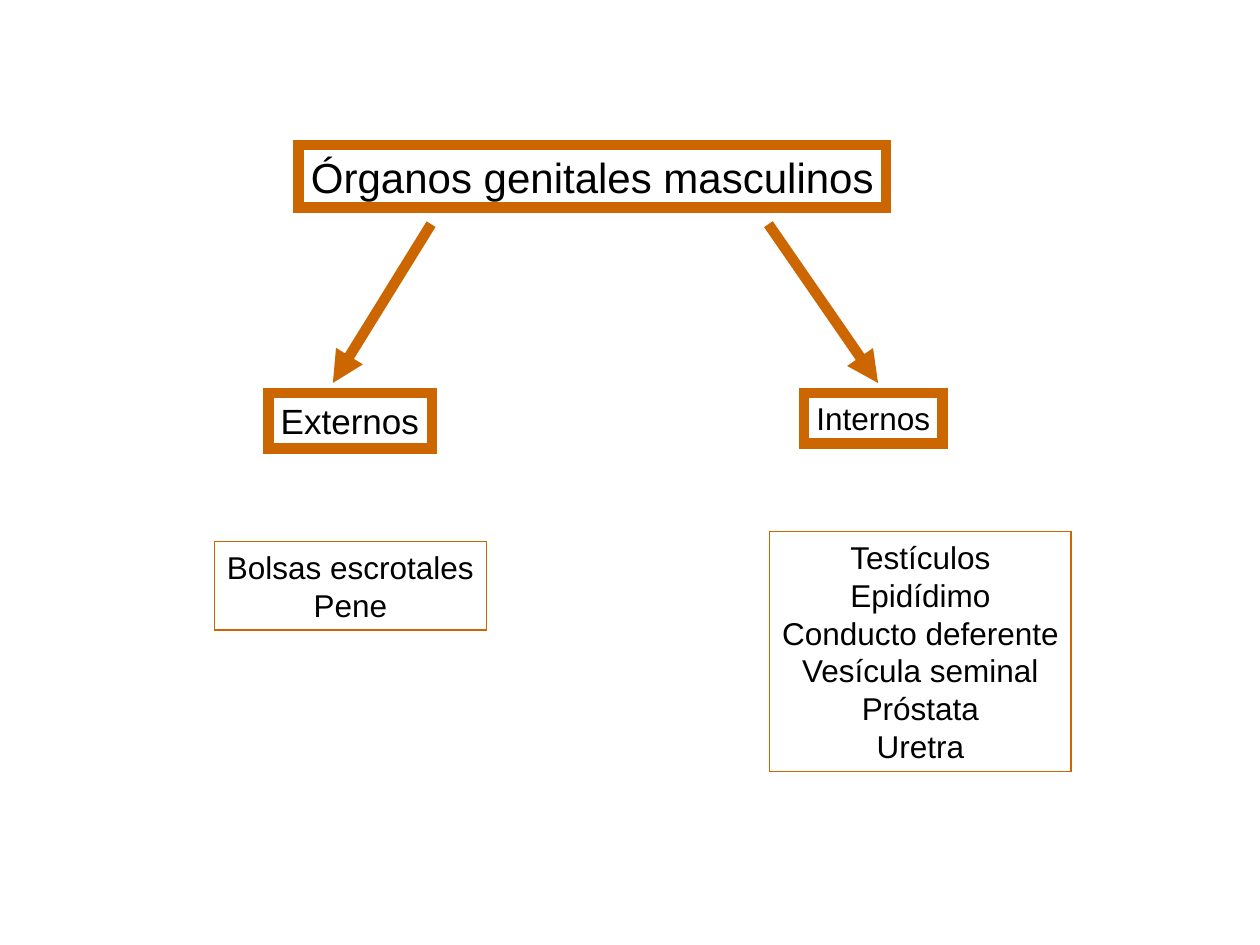
import pptx
import pptx.util
import pptx.dml.color
import pptx.enum.shapes
import pptx.enum.text
import lxml.etree
from pptx.oxml.ns import qn

Cm = pptx.util.Cm
Pt = pptx.util.Pt
COLORS = {
    name: pptx.dml.color.RGBColor.from_string(value)
    for name, value in {"border": "CC6600", "text": "000000"}.items()
}
LEFT = pptx.enum.text.PP_ALIGN.LEFT
CENTER = pptx.enum.text.PP_ALIGN.CENTER

presentation = pptx.Presentation()
presentation.slide_width = Cm(25.4)
presentation.slide_height = Cm(19.05)
slide = presentation.slides.add_slide(presentation.slide_layouts[6])


def style_line(shape, width):
    shape.line.color.rgb = COLORS["border"]
    shape.line.width = Pt(width)
    return shape.line._get_or_add_ln()


def add_box(left, top, width, height, border, size, alignment, lines):
    shape = slide.shapes.add_textbox(Cm(left), Cm(top), Cm(width), Cm(height))
    line = style_line(shape, border)
    lxml.etree.SubElement(line, qn("a:miter"), lim="800000")
    frame = shape.text_frame
    frame.word_wrap = False
    frame.auto_size = pptx.enum.text.MSO_AUTO_SIZE.NONE
    frame.margin_left = Cm(0.25 if alignment == LEFT else 0.15)
    frame.margin_right = Cm(0.15)
    for index, text in enumerate(lines):
        paragraph = frame.add_paragraph() if index else frame.paragraphs[0]
        paragraph.alignment = alignment
        run = paragraph.add_run()
        run.text = text
        run.font.name = "Arial"
        run.font.size = Pt(size)
        run.font.color.rgb = COLORS["text"]


add_box(6.02, 2.92, 11.84, 1.27, 6, 24, LEFT, ["Órganos genitales masculinos"])

for start, end in [(8.69, 6.71), (15.49, 17.7)]:
    arrow = slide.shapes.add_connector(
        pptx.enum.shapes.MSO_CONNECTOR.STRAIGHT, Cm(start), Cm(4.52), Cm(end), Cm(7.72)
    )
    line = style_line(arrow, 6)
    lxml.etree.SubElement(line, qn("a:tailEnd"), type="triangle")
    lxml.etree.SubElement(arrow._element.spPr, qn("a:effectLst"))

add_box(5.41, 7.92, 3.3, 1.12, 6, 20, LEFT, ["Externos"])
add_box(16.21, 7.92, 2.79, 1.02, 6, 18, LEFT, ["Internos"])
add_box(4.32, 10.92, 5.49, 1.78, 0.75, 18, CENTER, ["Bolsas escrotales", "Pene"])
add_box(
    15.52, 10.72, 6.07, 4.83, 0.75, 18, CENTER,
    ["Testículos", "Epidídimo", "Conducto deferente", "Vesícula seminal", "Próstata", "Uretra"],
)

presentation.save("out.pptx")
